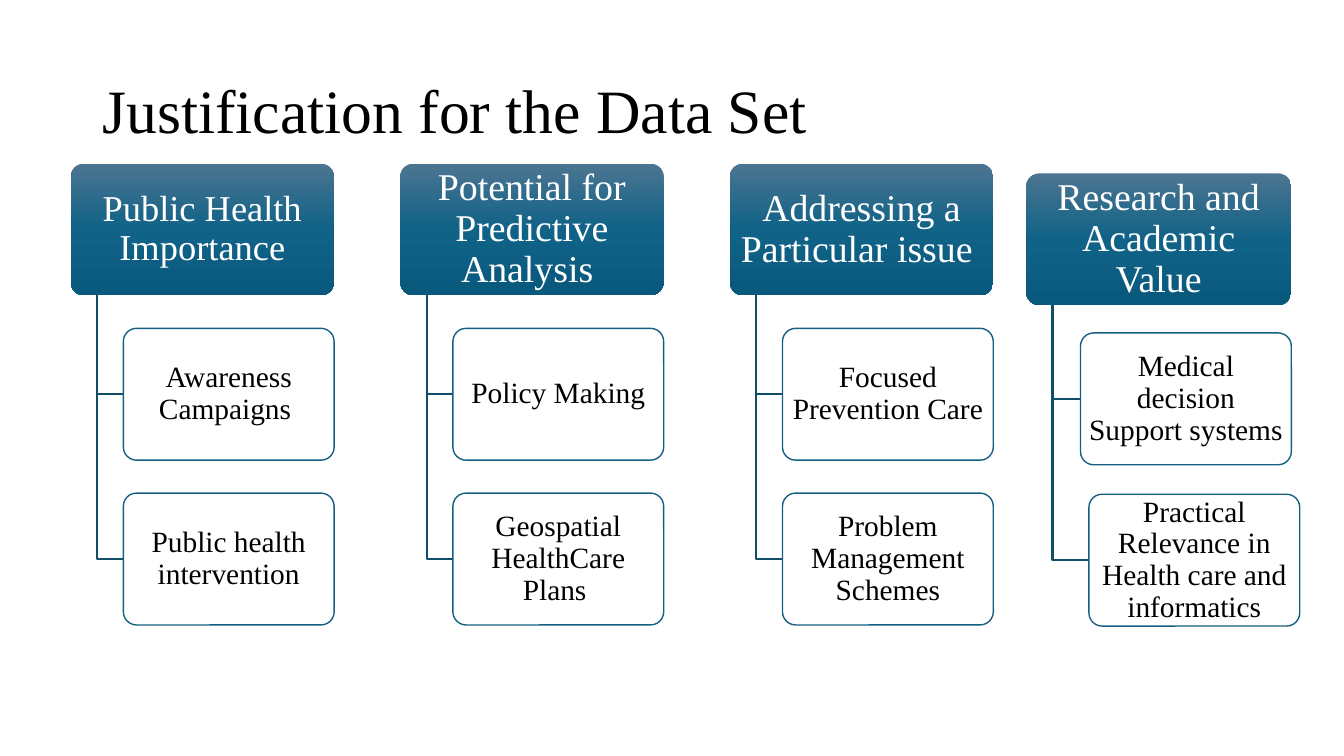
from copy import deepcopy
from dataclasses import dataclass

from lxml import etree
from pptx import Presentation
from pptx.dml.color import RGBColor
from pptx.enum.shapes import MSO_SHAPE
from pptx.enum.text import MSO_ANCHOR, MSO_AUTO_SIZE, PP_ALIGN
from pptx.oxml.ns import qn
from pptx.util import Pt

ROUNDED = MSO_SHAPE.ROUNDED_RECTANGLE
MIDDLE = MSO_ANCHOR.MIDDLE
NO_AUTOFIT = MSO_AUTO_SIZE.NONE
LEFT, CENTER = PP_ALIGN.LEFT, PP_ALIGN.CENTER

FONT = "Times New Roman"
BLACK, WHITE = "000000", "FFFFFF"
RAIL_COLOR, BORDER_COLOR = "114D68", "156082"
HEAD_GRADIENT = {0: "4C7591", 0.5: "106287", 1: "09597D"}

# Layout in points
COLUMN_LEFT, COLUMN_PITCH = 50.6, 235.4
HEAD_TOP, HEAD_WIDTH = 116.8, 188
BOX_HEIGHT, ROW_PITCH = 94.2, 117.7
RAIL_OFFSET, ITEM_OFFSET, ITEM_WIDTH = 18.8, 37.5, 150.6


@dataclass
class Card:
    text: str
    left: float
    top: float
    width: float
    size: float
    color: str
    margin_x: float
    margin_y: float


@dataclass
class Column:
    head: Card
    items: list[Card]


def hex_color(value: str) -> RGBColor:
    return RGBColor.from_string(value)


def head_card(text: str, left: float, top: float = HEAD_TOP,
              width: float = HEAD_WIDTH, size: float = 27) -> Card:
    return Card(text, left, top, width, size, WHITE, 4, 2.7)


def item_card(text: str, left: float, top: float) -> Card:
    return Card(text, left, top, ITEM_WIDTH, 21, BLACK, 3, 2)


def regular_column(index: int, head: str, items: list[str], size: float = 27) -> Column:
    left = COLUMN_LEFT + index * COLUMN_PITCH
    cards = [item_card(text, left + ITEM_OFFSET, HEAD_TOP + row * ROW_PITCH)
             for row, text in enumerate(items, start=1)]
    return Column(head_card(head, left, size=size), cards)


def write_text(box, text: str, size: float, color: str, alignment) -> None:
    frame = box.text_frame
    frame_format = {"word_wrap": True, "auto_size": NO_AUTOFIT, "vertical_anchor": MIDDLE}
    for name, value in frame_format.items():
        setattr(frame, name, value)
    paragraph = frame.paragraphs[0]
    for name, value in {"alignment": alignment, "line_spacing": 0.9}.items():
        setattr(paragraph, name, value)
    span = paragraph.add_run()
    span.text = text
    for name, value in {"name": FONT, "size": Pt(size)}.items():
        setattr(span.font, name, value)
    span.font.color.rgb = hex_color(color)


def add_card(page, card: Card):
    box = page.shapes.add_shape(ROUNDED, Pt(card.left), Pt(card.top),
                                Pt(card.width), Pt(BOX_HEIGHT))
    box.adjustments[0] = 0.1
    box.shadow.inherit = False
    write_text(box, card.text, card.size, card.color, CENTER)
    margins = {"margin_left": card.margin_x, "margin_right": card.margin_x,
               "margin_top": card.margin_y, "margin_bottom": card.margin_y}
    for name, value in margins.items():
        setattr(box.text_frame, name, Pt(value))
    return box


def add_head(page, card: Card) -> None:
    box = add_card(page, card)
    box.line.fill.background()
    box.fill.gradient()
    box.fill.gradient_angle = 270
    stop_list = next(box.element.iter(qn("a:gsLst")))
    stop_list.append(deepcopy(stop_list[0]))
    for stop, (position, color) in zip(box.fill.gradient_stops, HEAD_GRADIENT.items()):
        stop.position = position
        stop.color.rgb = hex_color(color)


def add_item(page, card: Card) -> None:
    box = add_card(page, card)
    box.fill.solid()
    box.fill.fore_color.rgb = hex_color(WHITE)
    fill_color = box.element.spPr.find(qn("a:solidFill"))[0]
    etree.SubElement(fill_color, qn("a:alpha"), val="90000")
    box.line.color.rgb = hex_color(BORDER_COLOR)
    box.line.width = Pt(1)


def add_rail(page, head: Card, item: Card) -> None:
    x = Pt(head.left + RAIL_OFFSET)
    y = Pt(item.top + BOX_HEIGHT / 2)
    builder = page.shapes.build_freeform(x, Pt(head.top + BOX_HEIGHT))
    builder.add_line_segments([(x, y), (Pt(item.left), y)], close=False)
    rail = builder.convert_to_shape()
    rail.shadow.inherit = False
    rail.fill.background()
    rail.line.color.rgb = hex_color(RAIL_COLOR)
    rail.line.width = Pt(1.5)


def add_column(page, column: Column) -> None:
    add_head(page, column.head)
    for item in column.items:
        add_rail(page, column.head, item)
        add_item(page, item)


COLUMNS = [
    regular_column(0, "Public Health Importance",
                   ["Awareness Campaigns ", "Public health intervention"], size=26),
    regular_column(1, "Potential for Predictive Analysis ",
                   ["Policy Making", "Geospatial HealthCare Plans "]),
    regular_column(2, "Addressing a Particular issue ",
                   ["Focused Prevention Care ", "Problem Management Schemes"]),
    # The last column sits lower, with its items shifted right
    Column(head_card("Research and Academic Value", 733, 123.8, 189.2),
           [item_card("Medical decision Support systems", 771.8, 237.8),
            item_card("Practical Relevance in Health care and informatics", 777.8, 353)]),
]


def main() -> None:
    deck = Presentation()
    deck.slide_width, deck.slide_height = Pt(960), Pt(540)
    page = deck.slides.add_slide(deck.slide_layouts.get_by_name("Title Only"))

    # Title
    title = page.shapes.title
    place = {"left": 66, "top": 28.8, "width": 828, "height": 104.4}
    for name, value in place.items():
        setattr(title, name, Pt(value))
    write_text(title, "Justification for the Data Set", 44, BLACK, LEFT)

    # Hierarchy columns
    for column in COLUMNS:
        add_column(page, column)

    deck.save("out.pptx")


if __name__ == "__main__":
    main()
